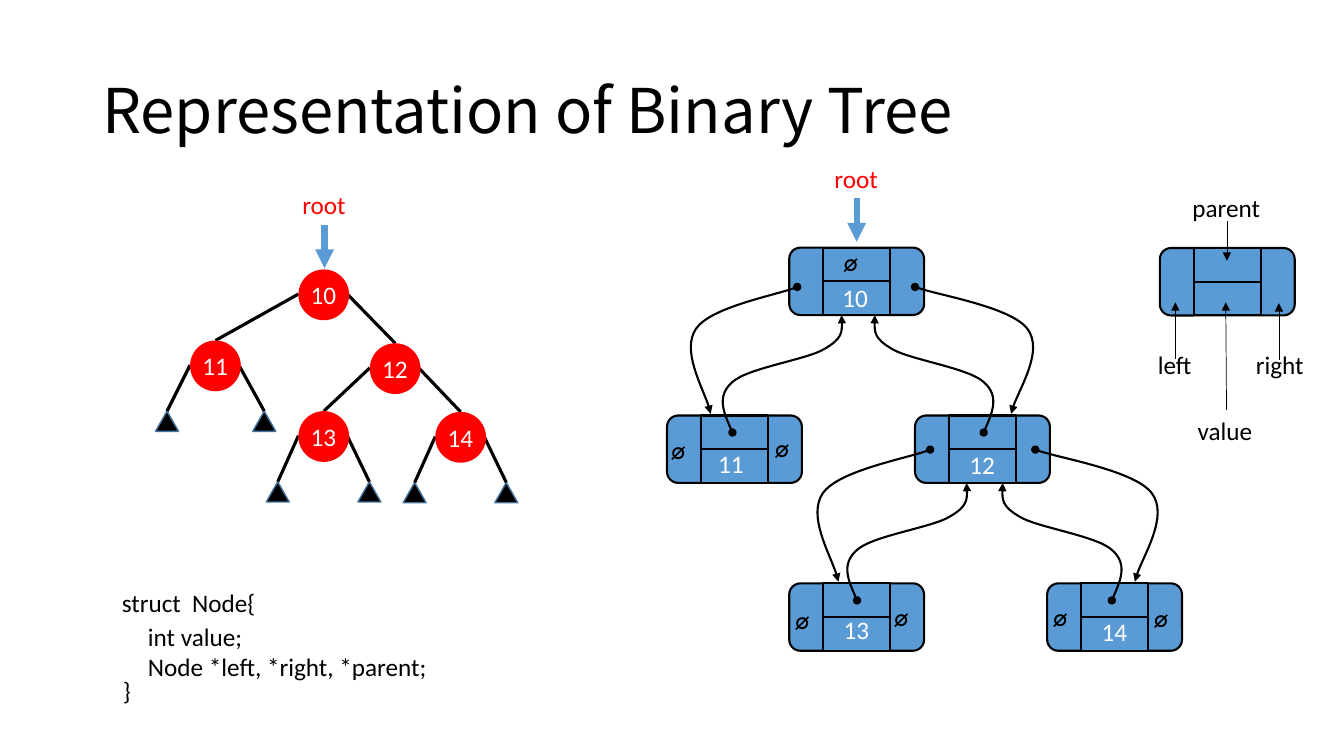
import lxml.etree
import pptx
import pptx.dml.color
import pptx.enum.shapes
import pptx.enum.text
import pptx.oxml.ns
import pptx.util

Cm, Pt = pptx.util.Cm, pptx.util.Pt
qn = pptx.oxml.ns.qn
SHAPE = pptx.enum.shapes.MSO_SHAPE
COLORS = {"black": "000000", "white": "FFFFFF", "red": "FF0000",
          "blue": "5B9BD5", "edge": "43739E"}
BODY = {"name": "Calibri", "size": Pt(18), "bold": False}
EMPTY = {"name": "Karla", "size": Pt(20), "bold": True}
HEADING = {"name": "Noto Sans CJK SC", "size": Pt(44), "bold": False}
LABEL_FRAME = {"word_wrap": False}
TITLE_FRAME = {"word_wrap": True,
               "vertical_anchor": pptx.enum.text.MSO_ANCHOR.MIDDLE}
CIRCLE = 1.28
CELL = 0.85
DOWN = [(0.2, 0.06), (1, 0.16), (1.17, 0.33),
        (1.34, 0.5), (1.03, 0.87), (1, 1)]
UP = [(-0.07, 0.15), (-0.15, 0.31), (0, 0.43), (0.14, 0.55),
      (0.68, 0.62), (0.84, 0.71), (1.01, 0.8), (1.01, 0.9), (1, 1)]


def rgb(name):
    """Return the named colour."""
    return pptx.dml.color.RGBColor.from_string(COLORS[name])


def add_text(s, lines, x, y, w, h=1.02, color="black", font=BODY,
             frame=LABEL_FRAME, spacing=1.0):
    """Add a text box with one paragraph per line."""
    tf = s.shapes.add_textbox(Cm(x), Cm(y), Cm(w), Cm(h)).text_frame
    for key, value in frame.items():
        setattr(tf, key, value)
    for i, line in enumerate(lines):
        p = tf.add_paragraph() if i else tf.paragraphs[0]
        p.line_spacing = spacing
        r = p.add_run()
        r.text = line
        for key, value in font.items():
            setattr(r.font, key, value)
        r.font.color.rgb = rgb(color)


def add_shape(s, kind, x, y, w, h, fill, line=None, width=1):
    """Add a filled preset shape, outlined if a line colour is given."""
    sp = s.shapes.add_shape(kind, Cm(x), Cm(y), Cm(w), Cm(h))
    sp.shadow.inherit = False
    sp.fill.solid()
    sp.fill.fore_color.rgb = rgb(fill)
    if line:
        sp.line.color.rgb = rgb(line)
        sp.line.width = Pt(width)
    else:
        sp.line.fill.background()
    return sp


def add_ends(sp, **ends):
    """Put the given headEnd and tailEnd types on a line."""
    ln = sp.line._get_or_add_ln()
    for tag, kind in ends.items():
        lxml.etree.SubElement(ln, qn("a:" + tag)).set("type", kind)


def add_line(s, start, end, width, color="black", arrow=False):
    """Add a straight line or arrow."""
    c = s.shapes.add_connector(pptx.enum.shapes.MSO_CONNECTOR.STRAIGHT,
                               *(Cm(v) for v in start + end))
    c.line.color.rgb = rgb(color)
    c.line.width = Pt(width)
    if arrow:
        add_ends(c, tailEnd="triangle")
    lxml.etree.SubElement(c._element.spPr, qn("a:effectLst"))
    return c


def add_curve(s, start, end, shape):
    """Add a curved pointer, scaling a unit Bezier shape between two points."""
    builder = s.shapes.build_freeform(Cm(start[0]), Cm(start[1]))
    builder.add_line_segments(
        [tuple(Cm(a + (b - a) * u) for a, b, u in zip(start, end, point))
         for point in shape], close=False)
    sp = builder.convert_to_shape()
    segments = list(sp._element.iter(qn("a:lnTo")))
    outline = segments[0].getparent()
    for i in range(0, len(segments), 3):
        bezier = lxml.etree.SubElement(outline, qn("a:cubicBezTo"))
        for segment in segments[i:i + 3]:
            bezier.append(segment[0])
            outline.remove(segment)
    sp.shadow.inherit = False
    sp.fill.background()
    sp.line.color.rgb = rgb("black")
    sp.line.width = Pt(1.5)
    add_ends(sp, headEnd="oval", tailEnd="triangle")


def add_title(s, x, y, w, h):
    """Add the slide title."""
    add_text(s, ["Representation of Binary Tree"], x, y, w, h,
             font=HEADING, frame=TITLE_FRAME, spacing=0.9)


def add_root(s, x, y):
    """Add the root label and its arrow."""
    add_text(s, ["root"], x, y, 1.63, color="red")
    add_line(s, (x + 0.81, y + 1.02), (x + 0.81, y + 2.11), 4.5, "blue", True)


def add_tree(s, x, y):
    """Draw the tree of circles with triangular leaves."""
    nodes = {"10": (3.62, 2.14), "11": (0.89, 3.93), "12": (5.42, 4),
             "13": (3.62, 5.71), "14": (7.07, 5.73)}
    children = {"10": ("11", "12"), "12": ("13", "14")}
    leaves = {"11": (-0.58, 1.87), "13": (-0.52, 1.79), "14": (-0.52, 1.79)}
    add_root(s, x + 3.47, y)
    for value, (dx, dy) in nodes.items():
        left, top = x + dx, y + dy
        if value in children:
            tips = [(x + nodes[c][0] + CIRCLE / 2, y + nodes[c][1])
                    for c in children[value]]
        else:
            tips = [(left + d, top + 1.78) for d in leaves[value]]
            for tx, ty in tips:
                add_shape(s, SHAPE.ISOSCELES_TRIANGLE, tx - 0.29, ty,
                          0.58, 0.51, "black", "edge")
        for side, tip in zip((0, CIRCLE - 0.05), tips):
            add_line(s, (left + side, top + CIRCLE / 2 - 0.02), tip, 2.25)
    for value, (dx, dy) in nodes.items():
        add_shape(s, SHAPE.OVAL, x + dx, y + dy, CIRCLE, CIRCLE, "red")
        add_text(s, [value], x + dx + 0.06, y + dy + 0.13, 1.17, color="white")


def add_record(s, x, y):
    """Draw one node record with its four cells."""
    add_shape(s, SHAPE.ROUNDED_RECTANGLE, x, y, 4 * CELL, 2 * CELL,
              "blue", "black", 1.5)
    middle = add_shape(s, SHAPE.RECTANGLE, x + CELL, y, 2 * CELL, 2 * CELL,
                       "blue", "black", 1.5)
    c = add_line(s, (x + CELL, y + CELL), (x + 3 * CELL, y + CELL), 1.5)
    c.begin_connect(middle, 1)
    c.end_connect(middle, 3)


def add_linked_nodes(s, x, y):
    """Draw the records joined by child and parent pointers."""
    nodes = {"10": (3.08, 2.26, 1.09, 0.74), "11": (0, 6.49, 1.04, 0.71),
             "12": (6.25, 6.49, 1.12, 0.73), "13": (3.08, 10.72, 1.12, 0.66),
             "14": (9.58, 10.72, 1.12, 0.7)}
    empty = {"10": [(1.09, -0.17)], "11": [(-0.18, 0.32), (2.44, 0.29)],
             "13": [(-0.13, 0.38), (2.36, 0.3)],
             "14": [(-0.13, 0.3), (2.41, 0.33)]}
    links = [("10", "11", 0.2, 0.99, 1.1, 1.65, 1.32),
             ("10", "12", 3.17, 0.99, 2.42, 1.73, 2.16),
             ("12", "13", 0.38, 0.86, 1.24, 1.71, 1.3),
             ("12", "14", 3.03, 0.86, 2.21, 1.63, 2.21)]
    add_root(s, x + 3.97, y)
    for value, (dx, dy, text_x, text_y) in nodes.items():
        add_record(s, x + dx, y + dy)
        add_text(s, [value], x + dx + text_x, y + dy + text_y, 1.17,
                 color="white")
        for ex, ey in empty.get(value, []):
            add_text(s, ["∅"], x + dx + ex, y + dy + ey, 1.09, 1.09, font=EMPTY)
    for parent, child, from_x, from_y, to_x, back_x, up_x in links:
        px, py = x + nodes[parent][0], y + nodes[parent][1]
        cx, cy = x + nodes[child][0], y + nodes[child][1]
        add_curve(s, (px + from_x, py + from_y), (cx + to_x, cy - 0.04), DOWN)
        add_curve(s, (cx + back_x, cy + 0.43), (px + up_x, py + 2 * CELL), UP)


def add_legend(s, x, y):
    """Draw a record with its fields named."""
    add_record(s, x + 0.3, y + 1.53)
    fields = [("parent", 0.87, 0, 2.24, (1.99, 0.84), (1.99, 1.85)),
              ("left", 0, 3.96, 1.37, (0.69, 4.32), (0.69, 2.9)),
              ("right", 2.47, 3.96, 1.78, (3.3, 4.34), (3.3, 2.92)),
              ("value", 1, 5.61, 1.96, (1.98, 5.61), (1.96, 2.9))]
    for name, dx, dy, w, start, end in fields:
        add_line(s, (x + start[0], y + start[1]), (x + end[0], y + end[1]),
                 0.5, arrow=True)
        add_text(s, [name], x + dx, y + dy, w)


def add_code(s, x, y):
    """Add the declaration of the node structure."""
    add_text(s, ["struct  Node{"], x, y, 4.17)
    add_text(s, ["int value;", "Node *left, *right, *parent;"],
             x + 0.66, y + 0.84, 7.8, 1.8)
    add_text(s, ["}"], x + 0.03, y + 2.21, 0.81)


def main():
    """Build and save the slide."""
    prs = pptx.Presentation()
    prs.slide_width, prs.slide_height = Cm(33.87), Cm(19.05)
    s = prs.slides.add_slide(prs.slide_layouts[6])
    add_title(s, 2.33, 1.02, 29.21, 3.68)
    add_tree(s, 3.9, 4.65)
    add_linked_nodes(s, 16.81, 3.98)
    add_legend(s, 28.93, 4.72)
    add_code(s, 2.82, 14.68)
    prs.save("out.pptx")


if __name__ == "__main__":
    main()
